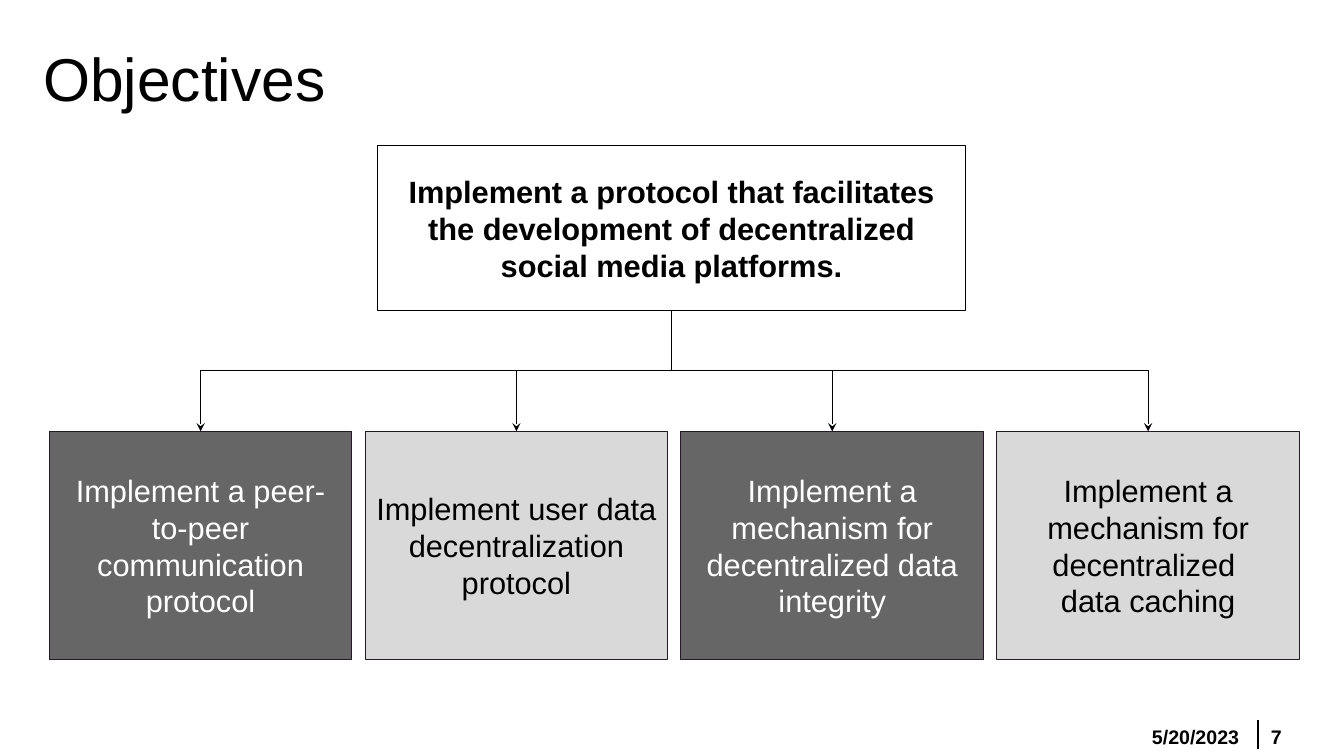
from lxml import etree
from pptx import Presentation
from pptx.dml.color import RGBColor
from pptx.enum import shapes, text
from pptx.oxml import ns
from pptx.util import Cm, Pt

TITLE = "Objectives"
GOAL = ["Implement a protocol that facilitates the development of decentralized social media platforms."]
OBJECTIVES = [
    ["Implement a peer-to-peer", "communication protocol"],
    ["Implement user data", "decentralization protocol"],
    ["Implement a mechanism for", "decentralized data integrity"],
    ["Implement a mechanism for", "decentralized ", "data caching"],
]
STYLES = [("666666", "FFFFFF"), ("D9D9D9", "000000")]
FOOTERS = [("5/20/2023", 28.78, 2.72), ("7", 31.78, 1.88)]

GOAL_AREA = (9.52, 3.66, 14.81, 4.16)
ROW_LEFT, ROW_TOP, ROW_STEP = 1.24, 10.87, 7.96
BOX_WIDTH, BOX_HEIGHT = 7.63, 5.74


def colour(value):
    return RGBColor.from_string(value)


def write(shape, lines, size, ink="000000", bold=False,
          align=text.PP_ALIGN.LEFT, inset=0.13):
    frame = shape.text_frame
    frame.word_wrap = True
    frame.auto_size = text.MSO_AUTO_SIZE.NONE
    frame.vertical_anchor = text.MSO_ANCHOR.MIDDLE
    frame.margin_left = frame.margin_right = Cm(0.25)
    frame.margin_top = frame.margin_bottom = Cm(inset)
    for index, line in enumerate(lines):
        para = frame.add_paragraph() if index else frame.paragraphs[0]
        para.alignment = align
        span = para.add_run()
        span.text = line
        span.font.name = "Arial"
        span.font.size = Pt(size)
        span.font.bold = bold
        span.font.color.rgb = colour(ink)


def add_box(page, area, lines, fill, ink, edge, bold=False):
    box = page.shapes.add_shape(shapes.MSO_SHAPE.RECTANGLE, *map(Cm, area))
    box.shadow.inherit = False
    box.fill.solid()
    box.fill.fore_color.rgb = colour(fill)
    box.line.color.rgb = colour(edge)
    box.line.width = Pt(0.75)
    write(box, lines, 22, ink, bold, text.PP_ALIGN.CENTER, 0.25)
    return box


def finish_line(line, width):
    line.line.color.rgb = colour("000000")
    line.line.width = Pt(width)
    etree.SubElement(line._element.spPr, ns.qn("a:effectLst"))


def add_branch(page, parent, child):
    start_x = parent.left + parent.width // 2
    start_y = parent.top + parent.height
    end_x, end_y = child.left + child.width // 2, child.top
    branch = page.shapes.add_connector(
        shapes.MSO_CONNECTOR.ELBOW, start_x, start_y, end_x, end_y)
    branch.begin_connect(parent, 2)
    branch.end_connect(child, 0)
    drop, reach = end_y - start_y, abs(end_x - start_x)
    branch.left = (start_x + end_x - drop) // 2
    branch.top = (start_y + end_y - reach) // 2
    branch.width, branch.height = drop, reach
    rightward = end_x > start_x
    frame = branch._element.spPr.find(ns.qn("a:xfrm"))
    frame.set("rot", str((270 if rightward else 90) * 60000))
    frame.set("flipH", str(int(rightward)))
    finish_line(branch, 0.75)
    outline = branch._element.spPr.find(ns.qn("a:ln"))
    etree.SubElement(outline, ns.qn("a:tailEnd"), type="stealth")


def main():
    deck = Presentation()
    deck.slide_width, deck.slide_height = Cm(33.87), Cm(19.05)
    page = deck.slides.add_slide(deck.slide_layouts[5])

    title = page.shapes.title
    title.left, title.top, title.width, title.height = map(Cm, (0.84, 0.84, 29.82, 2.21))
    write(title, [TITLE], 43.2)

    for label, left, width in FOOTERS:
        footer = page.shapes.add_textbox(Cm(left), Cm(18.24), Cm(width), Cm(0.64))
        write(footer, [label], 14, bold=True)
    divider = page.shapes.add_connector(
        shapes.MSO_CONNECTOR.STRAIGHT, Cm(31.7), Cm(18.14), Cm(31.7), Cm(18.87))
    finish_line(divider, 1.5)

    goal = add_box(page, GOAL_AREA, GOAL, "FFFFFF", "000000", "000000", True)
    for index, lines in enumerate(OBJECTIVES):
        fill, ink = STYLES[index % 2]
        area = (ROW_LEFT + index * ROW_STEP, ROW_TOP, BOX_WIDTH, BOX_HEIGHT)
        objective = add_box(page, area, lines, fill, ink, "231B23")
        add_branch(page, goal, objective)

    deck.save("out.pptx")


if __name__ == "__main__":
    main()
